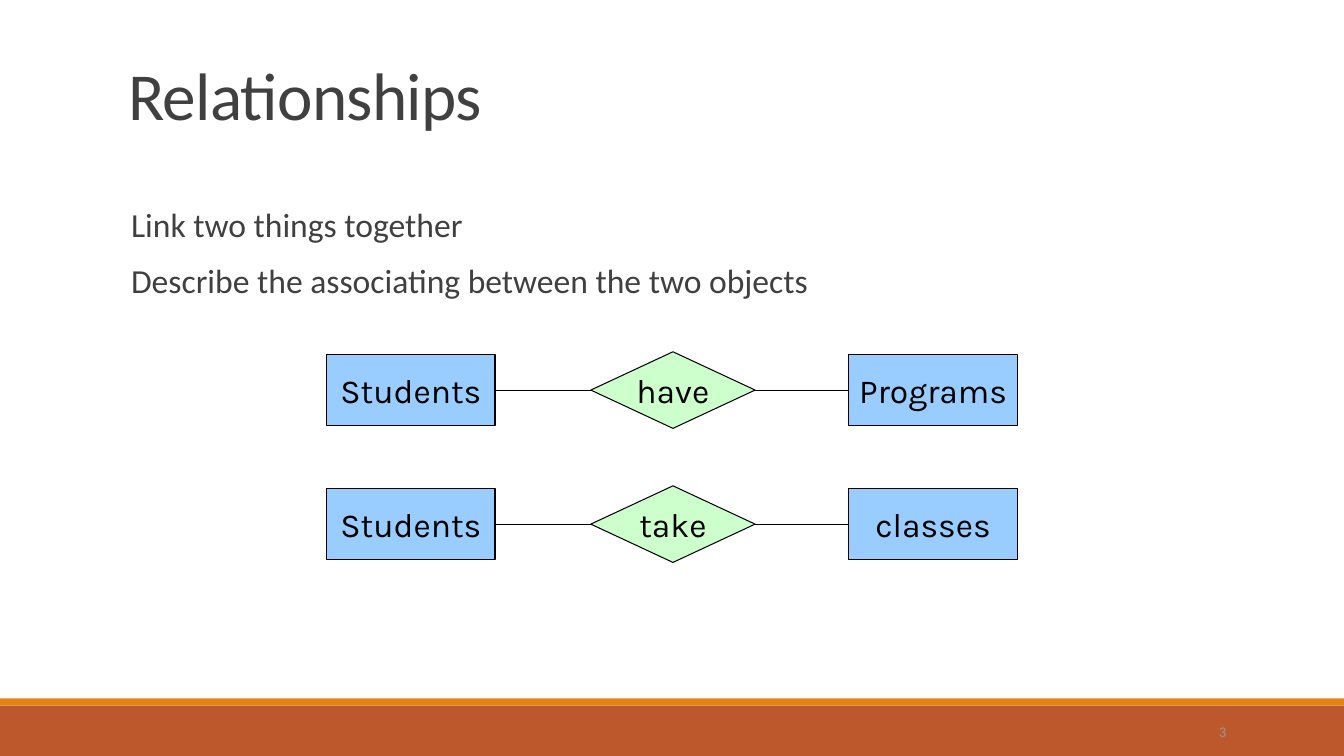
import pptx
import pptx.util
import pptx.dml.color
import pptx.enum.shapes
import pptx.enum.text
import pptx.oxml.ns
from lxml import etree

Inches = pptx.util.Inches
Pt = pptx.util.Pt
SHAPES = pptx.enum.shapes.MSO_SHAPE
ALIGN = pptx.enum.text.PP_ALIGN
ANCHOR = pptx.enum.text.MSO_ANCHOR
qn = pptx.oxml.ns.qn


def color(value):
    return pptx.dml.color.RGBColor.from_string(value)


def style_text(paragraph, font_name, size, hex_color, alignment):
    paragraph.alignment = alignment
    paragraph.font.name = font_name
    paragraph.font.size = Pt(size)
    paragraph.font.color.rgb = color(hex_color)


presentation = pptx.Presentation()
presentation.slide_width = Inches(13.33)
presentation.slide_height = Inches(7.5)
slide = presentation.slides.add_slide(presentation.slide_layouts[1])
shapes = slide.shapes

for top, height, fill in [(7, 0.5, "BD582C"), (6.93, 0.07, "E48312")]:
    band = shapes.add_shape(SHAPES.RECTANGLE, 0, Inches(top), presentation.slide_width, Inches(height))
    band.shadow.inherit = False
    band.fill.solid()
    band.fill.fore_color.rgb = color(fill)
    band.line.fill.background()

title = shapes.title
title.left, title.top, title.width, title.height = map(Inches, (1.17, -0.21, 11, 1.59))
title.text_frame.text = "Relationships"
title.text_frame.vertical_anchor = ANCHOR.BOTTOM
title.text_frame.auto_size = pptx.enum.text.MSO_AUTO_SIZE.NONE
heading = title.text_frame.paragraphs[0]
heading.line_spacing = 0.85
style_text(heading, "Calibri", 48, "404040", ALIGN.LEFT)
heading.runs[0].font._element.set("spc", "-50")

body = slide.placeholders[1]
body.left, body.top, body.width, body.height = map(Inches, (1.2, 2.02, 11, 4.4))
body_frame = body.text_frame
body_frame.margin_left = body_frame.margin_right = 0
body_frame.auto_size = pptx.enum.text.MSO_AUTO_SIZE.NONE
body_frame.text = "Link two things together\nDescribe the associating between the two objects"
for index, paragraph in enumerate(body_frame.paragraphs):
    properties = paragraph._p.get_or_add_pPr()
    properties.set("marL", str(Inches(0.1)))
    properties.set("indent", "0")
    etree.SubElement(properties, qn("a:buNone"))
    paragraph.line_spacing = 0.9
    paragraph.space_before = Pt(12 if index else 0)
    paragraph.space_after = Pt(2)
    style_text(paragraph, "Calibri", 24, "404040", ALIGN.LEFT)

page_number = shapes.add_textbox(Inches(10.83), Inches(7.06), Inches(1.43), Inches(0.4))
page_number.text_frame.word_wrap = True
page_number.text_frame.vertical_anchor = ANCHOR.MIDDLE
page_number.text_frame.text = "3"
style_text(page_number.text_frame.paragraphs[0], "Calibri", 10.5, "959795", ALIGN.RIGHT)

columns = [
    (SHAPES.RECTANGLE, 3.24, 1.67, 0.71, "99CCFF"),
    (SHAPES.FLOWCHART_DECISION, 5.86, 1.63, 0.76, "CCFFCC"),
    (SHAPES.RECTANGLE, 8.42, 1.67, 0.71, "99CCFF"),
]
relationships = [("Students", "have", "Programs"), ("Students", "take", "classes")]
first_center, row_pitch = 3.87, 1.33

for row, labels in enumerate(relationships):
    center = first_center + row * row_pitch
    nodes = []
    for label, (kind, left, width, height, fill) in zip(labels, columns):
        node = shapes.add_shape(kind, Inches(left), Inches(center - height / 2), Inches(width), Inches(height))
        node.shadow.inherit = False
        node.fill.solid()
        node.fill.fore_color.rgb = color(fill)
        node.line.color.rgb = color("000000")
        node.line.width = Pt(0.75)
        node.text_frame.word_wrap = False
        node.text_frame.vertical_anchor = ANCHOR.MIDDLE
        node.text_frame.text = label
        style_text(node.text_frame.paragraphs[0], "Karla", 24, "000000", ALIGN.CENTER)
        nodes.append(node)
    for source, target in zip(nodes, nodes[1:]):
        link = shapes.add_connector(pptx.enum.shapes.MSO_CONNECTOR.STRAIGHT, 0, 0, 0, 0)
        link.begin_connect(source, 3)
        link.end_connect(target, 1)
        link.line.color.rgb = color("000000")
        link.line.width = Pt(0.75)
        etree.SubElement(link._element.spPr, qn("a:effectLst"))

presentation.save("out.pptx")
